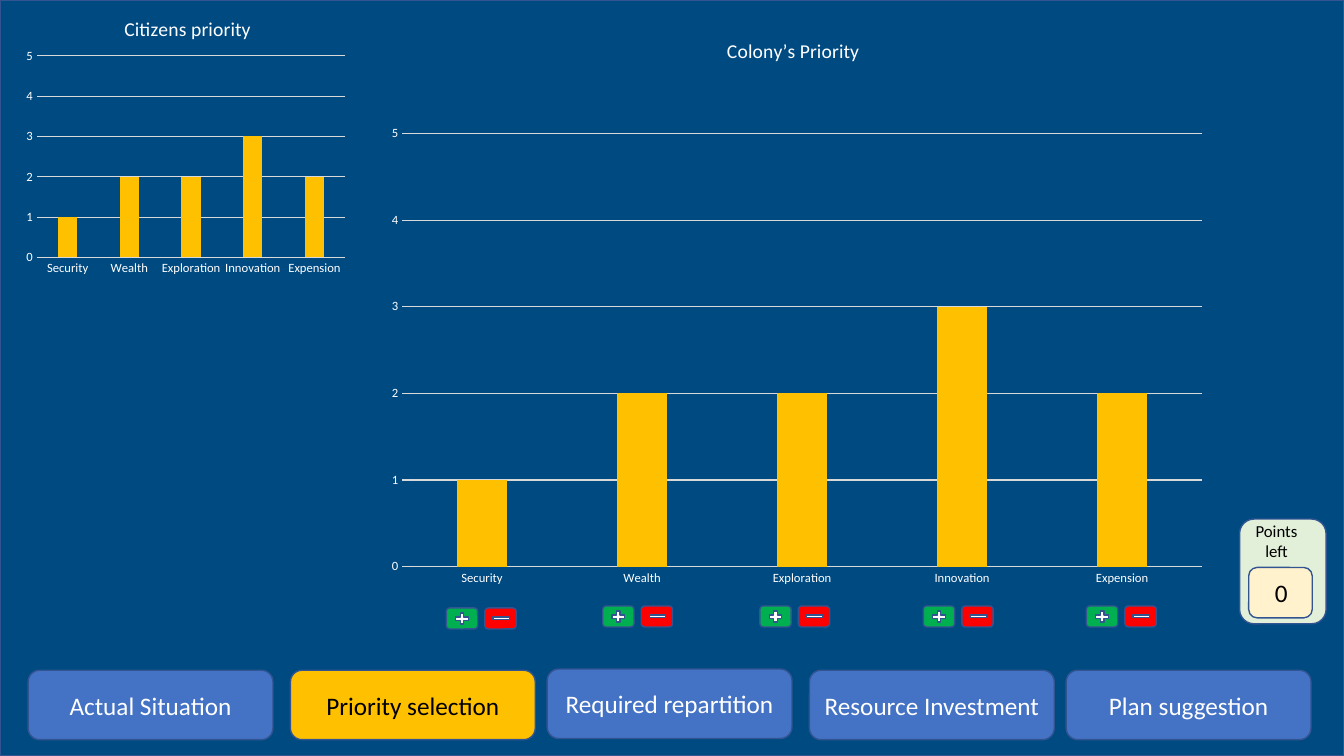
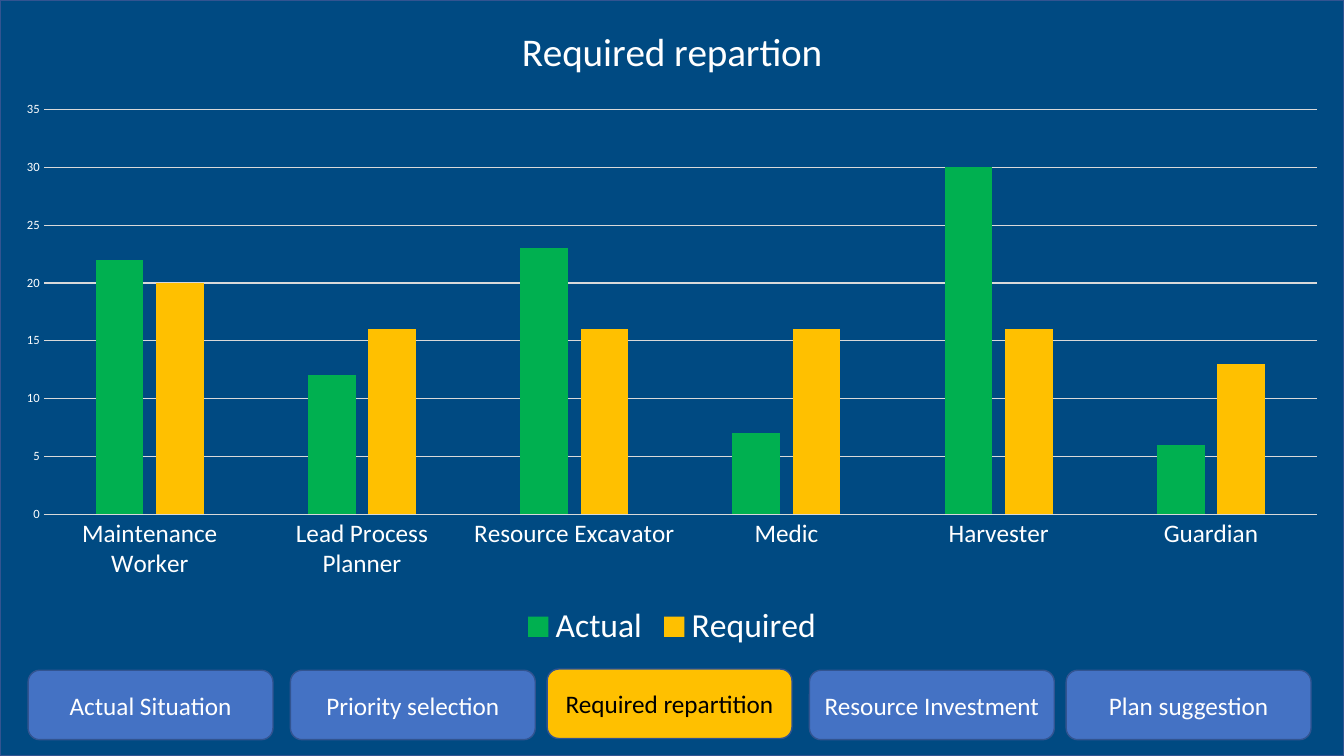
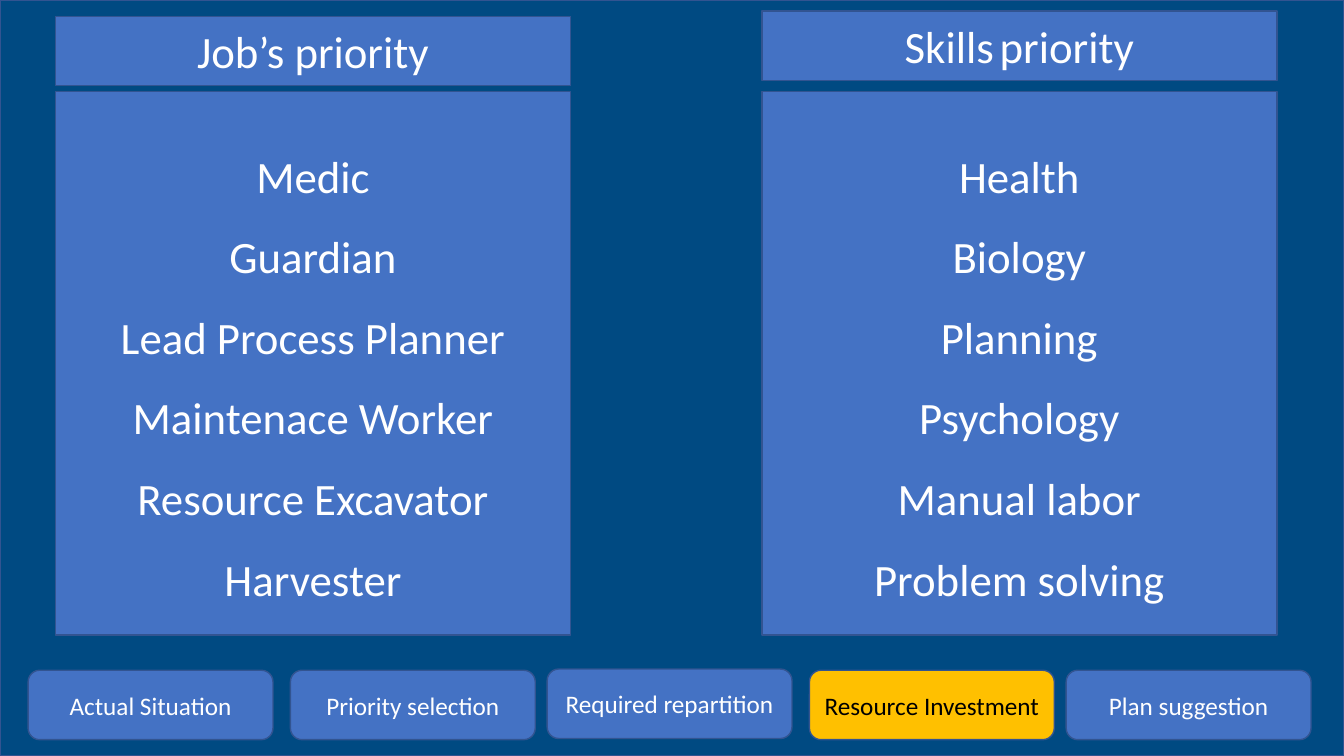
"""Build three colony planning slides with charts, priority lists and a shared navigation bar."""
from lxml import etree
from pptx import Presentation
from pptx.chart.data import CategoryChartData
from pptx.dml.color import RGBColor
from pptx.enum import chart as charts, shapes, text
from pptx.oxml.ns import qn
from pptx.util import Cm, Pt

NAVY = RGBColor(0x00, 0x4A, 0x82)
BLUE = RGBColor(0x44, 0x72, 0xC4)
EDGE = RGBColor(0x32, 0x54, 0x91)
GOLD = RGBColor(0xFF, 0xC0, 0x00)
GREEN = RGBColor(0x00, 0xB0, 0x50)
RED = RGBColor(0xFF, 0x00, 0x00)
WHITE = RGBColor(0xFF, 0xFF, 0xFF)
BLACK = RGBColor(0x00, 0x00, 0x00)
GRID = RGBColor(0xD9, 0xD9, 0xD9)
MINT = RGBColor(0xE2, 0xF0, 0xD9)
CREAM = RGBColor(0xFF, 0xF2, 0xCC)
FONT = "Calibri"
WIDTH, HEIGHT = 33.87, 19.05

KIND = shapes.MSO_SHAPE
CENTER = text.PP_ALIGN.CENTER

NAV = [
    ("Actual Situation", 0.71, 16.89),
    ("Priority selection", 7.32, 16.89),
    ("Required repartition", 13.79, 16.86),
    ("Resource Investment", 20.4, 16.89),
    ("Plan suggestion", 26.87, 16.89),
]
NAV_SIZE = (6.17, 1.75)

PRIORITIES = ["Security", "Wealth", "Exploration", "Innovation", "Expension"]
PRIORITY_SERIES = [("Series 1", (1, 2, 2, 3, 2), GOLD)]
PRIORITY_CHARTS = [
    ("Citizens priority", (0.41, 0.03, 8.64, 7.06)),
    ("Colony’s Priority", (8.79, 0.41, 22.4, 15.16)),
]
PRIORITY_PLOT = {"x": 0.06, "y": 0.195, "w": 0.9, "h": 0.72}
STEPPERS = [(11.25, 15.32), (15.19, 15.27), (19.15, 15.27), (23.27, 15.27), (27.38, 15.27)]
STEPPER_PARTS = [
    (KIND.ROUNDED_RECTANGLE, GREEN, (0, 0, 0.79, 0.53)),
    (KIND.ROUNDED_RECTANGLE, RED, (0.97, 0, 0.79, 0.53)),
    (KIND.MATH_PLUS, WHITE, (0.18, 0.08, 0.43, 0.38)),
    (KIND.MATH_MINUS, WHITE, (1.1, 0.13, 0.56, 0.25)),
]

JOBS = ["Maintenance Worker", "Lead Process Planner", "Resource Excavator",
        "Medic", "Harvester", "Guardian"]
JOB_SERIES = [
    ("Actual", (22, 12, 23, 7, 30, 6), GREEN),
    ("Required", (20, 16, 16, 16, 16, 13), GOLD),
]

LISTS = [
    (1.4, 0.41, [("Job’s priority", 32)],
     ["Medic", "Guardian", "Lead Process Planner", "Maintenace Worker",
      "Resource Excavator", "Harvester"]),
    (19.2, 0.28, [("Skills", 32), (" ", 18), ("priority", 32)],
     ["Health", "Biology", "Planning", "Psychology", "Manual labor", "Problem solving"]),
]
LIST_WIDTH, LIST_TOP, LIST_HEIGHT, HEAD_HEIGHT = 12.98, 2.31, 13.69, 1.75


def style(font, size, color=WHITE):
    font.name, font.size = FONT, Pt(size)
    font.color.rgb = color


def write(tf, paragraphs, color=WHITE, align=CENTER, spacing=None):
    tf.vertical_anchor = text.MSO_ANCHOR.MIDDLE
    for i, runs in enumerate(paragraphs):
        p = tf.add_paragraph() if i else tf.paragraphs[0]
        p.alignment = align
        if spacing:
            p.line_spacing = spacing
        for words, size in runs:
            r = p.add_run()
            r.text = words
            style(r.font, size, color)


def add_box(parent, kind, box, fill):
    sp = parent.add_shape(kind, *map(Cm, box))
    sp.shadow.inherit = False
    sp.fill.solid()
    sp.fill.fore_color.rgb = fill
    sp.line.color.rgb = EDGE
    sp.line.width = Pt(1)
    return sp


def add_label(s, box, words, size, align, wrap):
    tf = s.shapes.add_textbox(*map(Cm, box)).text_frame
    tf.word_wrap = wrap
    write(tf, [[(words, size)]], BLACK, align)
    tf.vertical_anchor = text.MSO_ANCHOR.TOP


def add_slide(prs, active):
    s = prs.slides.add_slide(prs.slide_layouts[6])
    add_box(s.shapes, KIND.RECTANGLE, (0, 0, WIDTH, HEIGHT), NAVY)
    for label, left, top in NAV:
        on = label == active
        sp = add_box(s.shapes, KIND.ROUNDED_RECTANGLE, (left, top, *NAV_SIZE), GOLD if on else BLUE)
        write(sp.text_frame, [[(label, 18)]], BLACK if on else WHITE)
    return s


def set_plot_area(chart, plot):
    area = chart.element.find(qn("c:chart")).find(qn("c:plotArea"))
    for old in area.findall(qn("c:layout")):
        area.remove(old)
    layout = etree.Element(qn("c:layout"))
    manual = etree.SubElement(layout, qn("c:manualLayout"))
    values = {"layoutTarget": "inner", "xMode": "edge", "yMode": "edge", **plot}
    for tag, value in values.items():
        etree.SubElement(manual, qn(f"c:{tag}")).set("val", str(value))
    area.insert(0, layout)


def add_columns(s, box, title, title_size, cats, series, cat_size=9, top=None, step=None):
    data = CategoryChartData()
    data.categories = cats
    for name, values, _ in series:
        data.add_series(name, values)
    kind = charts.XL_CHART_TYPE.COLUMN_CLUSTERED
    chart = s.shapes.add_chart(kind, *map(Cm, box), data).chart
    style(chart.font, 10)

    chart.has_title = True
    r = chart.chart_title.text_frame.paragraphs[0].add_run()
    r.text = title
    style(r.font, title_size)
    r.font.bold = False
    chart.chart_title.include_in_layout = False
    chart.has_legend = False

    plot = chart.plots[0]
    plot.vary_by_categories = False
    plot.gap_width, plot.overlap = 219, -27
    for ser, (_, _, color) in zip(plot.series, series):
        ser.format.fill.solid()
        ser.format.fill.fore_color.rgb = color

    cat, val = chart.category_axis, chart.value_axis
    for axis, size in ((cat, cat_size), (val, 9)):
        axis.major_tick_mark = axis.minor_tick_mark = charts.XL_TICK_MARK.NONE
        style(axis.tick_labels.font, size)
    val.has_major_gridlines = True
    for line in (cat.format.line, val.major_gridlines.format.line):
        line.color.rgb = GRID
        line.width = Pt(0.75)
    val.format.line.fill.background()
    val.minimum_scale, val.maximum_scale, val.major_unit = 0, top, step
    return chart


def add_priority_slide(prs):
    s = add_slide(prs, "Priority selection")
    for left, top in STEPPERS:
        group = s.shapes.add_group_shape()
        for kind, fill, (dx, dy, w, h) in STEPPER_PARTS:
            add_box(group.shapes, kind, (left + dx, top + dy, w, h), fill)
    add_box(s.shapes, KIND.ROUNDED_RECTANGLE, (31.24, 13.08, 2.18, 2.64), MINT)
    add_label(s, (31.14, 13, 2.06, 1.27), "Points left", 12, CENTER, True)
    add_box(s.shapes, KIND.ROUNDED_RECTANGLE, (31.47, 14.3, 1.6, 1.27), CREAM)
    add_label(s, (31.88, 14.43, 0.84, 1.02), "0", 18, text.PP_ALIGN.LEFT, False)
    for title, box in PRIORITY_CHARTS:
        chart = add_columns(s, box, title, 14, PRIORITIES, PRIORITY_SERIES, top=5, step=1)
        set_plot_area(chart, PRIORITY_PLOT)


def add_repartition_slide(prs):
    s = add_slide(prs, "Required repartition")
    chart = add_columns(s, (0, 0, WIDTH, 16.48), "Required repartion", 28, JOBS, JOB_SERIES, cat_size=18)
    chart.has_legend = True
    chart.legend.position = charts.XL_LEGEND_POSITION.BOTTOM
    chart.legend.include_in_layout = False
    style(chart.legend.font, 24)


def add_investment_slide(prs):
    s = add_slide(prs, "Resource Investment")
    for left, head_top, head, items in LISTS:
        sp = add_box(s.shapes, KIND.RECTANGLE, (left, LIST_TOP, LIST_WIDTH, LIST_HEIGHT), BLUE)
        write(sp.text_frame, [[(item, 32)] for item in items], spacing=1.5)
        sp = add_box(s.shapes, KIND.RECTANGLE, (left, head_top, LIST_WIDTH, HEAD_HEIGHT), BLUE)
        write(sp.text_frame, [head])


def main():
    prs = Presentation()
    prs.slide_width, prs.slide_height = Cm(WIDTH), Cm(HEIGHT)
    add_priority_slide(prs)
    add_repartition_slide(prs)
    add_investment_slide(prs)
    prs.save("out.pptx")


if __name__ == "__main__":
    main()
